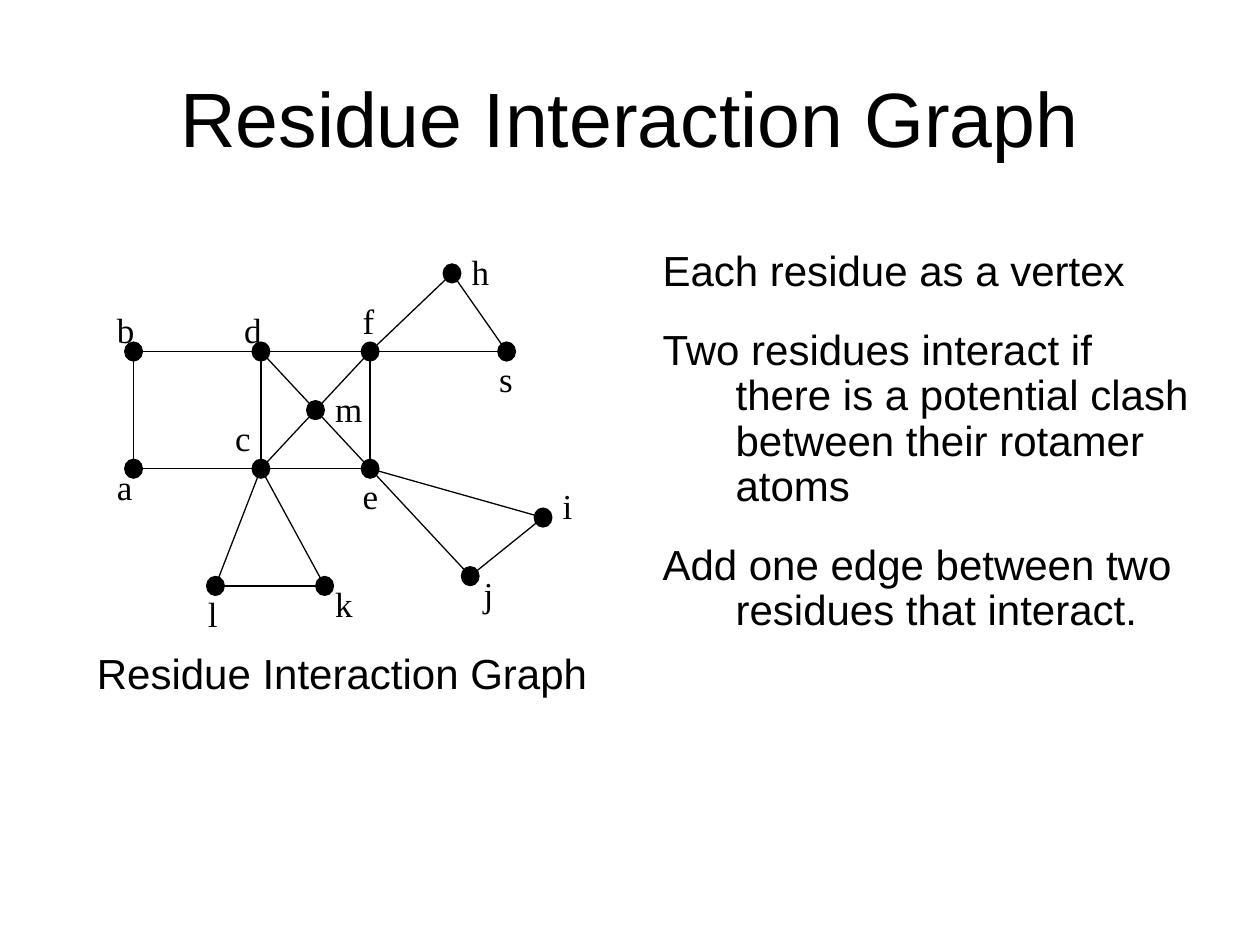
from dataclasses import dataclass

import pptx
import pptx.dml.color
import pptx.enum.shapes
import pptx.enum.text
import pptx.oxml
import pptx.oxml.ns
import pptx.util

Inches = pptx.util.Inches
Pt = pptx.util.Pt
PP_ALIGN = pptx.enum.text.PP_ALIGN
ANCHOR = pptx.enum.text.MSO_ANCHOR

COLOURS = {"ink": "000000", "paper": "FFFFFF"}
SANS, SERIF = "Arial", "Times New Roman"
PAGE_WIDTH, PAGE_HEIGHT = 10, 7.5

# The graph lies on a grid: column 0 runs through a and b, row 0 through h.
GRID_LEFT, GRID_TOP = 1.06, 2.17
COLUMN, ROW = 3.25 / 45, 2.48 / 32
DOT_WIDTH, DOT_HEIGHT = 0.14, 0.15
LABEL_HEIGHT = 0.44


@dataclass(frozen=True)
class Vertex:
    name: str
    column: float
    row: float
    label_column: float
    label_row: float
    label_width: float


VERTICES = [
    Vertex("a", 0, 20, -3.2, 19, 0.32),
    Vertex("b", 0, 8, -3.2, 3, 0.34),
    Vertex("c", 14, 20, 9.8, 14, 0.32),
    Vertex("d", 14, 8, 10.8, 3, 0.34),
    Vertex("f", 26, 8, 23.8, 2, 0.29),
    Vertex("e", 26, 20, 23.8, 20, 0.32),
    Vertex("m", 20, 14, 20.8, 11, 0.41),
    Vertex("l", 9, 32, 6.8, 32, 0.28),
    Vertex("k", 21, 32, 20.8, 31, 0.34),
    Vertex("j", 37, 31, 37.1, 30, 0.28),
    Vertex("i", 45, 25, 45.8, 21, 0.28),
    Vertex("h", 35, 0, 35.8, -3, 0.34),
    Vertex("s", 41, 8, 38.8, 8, 0.31),
]
EDGES = "ab cd ef bd ac dm cm df me mf ce cl ck fh fs ej ei ij lk hs".split()

STATEMENTS = [
    "Each residue as a vertex",
    "Two residues interact if there is a potential clash between their rotamer atoms",
    "Add one edge between two residues that interact.",
]


def colour(name: str) -> pptx.dml.color.RGBColor:
    return pptx.dml.color.RGBColor.from_string(COLOURS[name])


def grid_point(column: float, row: float) -> tuple[float, float]:
    """Position in inches of a grid crossing."""
    return GRID_LEFT + column * COLUMN, GRID_TOP + row * ROW


def add_text(page, left: float, top: float, width: float, height: float,
             lines: list[str], size: float, font: str = SANS, wrap: bool = False):
    box = page.shapes.add_textbox(Inches(left), Inches(top), Inches(width), Inches(height))
    frame = box.text_frame
    frame.word_wrap = wrap
    if not wrap:
        frame.auto_size = pptx.enum.text.MSO_AUTO_SIZE.SHAPE_TO_FIT_TEXT
    frame.text = "\n".join(lines)
    for para in frame.paragraphs:
        para.font.size = Pt(size)
        para.font.name = font
        para.font.color.rgb = colour("ink")
    return frame


def add_title(page) -> None:
    frame = add_text(page, 0.05 * PAGE_WIDTH, 0.04 * PAGE_HEIGHT, 0.9 * PAGE_WIDTH, 1.25,
                     ["Residue Interaction Graph"], 44, wrap=True)
    frame.vertical_anchor = ANCHOR.MIDDLE
    frame.paragraphs[0].alignment = PP_ALIGN.CENTER


def add_statements(page) -> None:
    frame = add_text(page, 5.16, 1.94, 4.42, 3.5, STATEMENTS, 24, wrap=True)
    for index, para in enumerate(frame.paragraphs):
        para.line_spacing = 0.9
        if index:
            para.space_before = Pt(19)
        properties = para._p.get_or_add_pPr()
        properties.set("marL", str(Inches(0.58)))
        properties.set("indent", str(-Inches(0.58)))


def add_dot(page, vertex: Vertex) -> None:
    x, y = grid_point(vertex.column, vertex.row)
    dot = page.shapes.add_shape(
        pptx.enum.shapes.MSO_SHAPE.OVAL,
        Inches(x - DOT_WIDTH / 2), Inches(y - DOT_HEIGHT / 2),
        Inches(DOT_WIDTH), Inches(DOT_HEIGHT))
    dot.shadow.inherit = False
    dot.fill.solid()
    dot.fill.fore_color.rgb = colour("ink")
    dot.line.color.rgb = colour("ink")
    dot.line.width = Pt(0.75)


def add_edge(page, start: Vertex, end: Vertex) -> None:
    ends = grid_point(start.column, start.row) + grid_point(end.column, end.row)
    edge = page.shapes.add_connector(
        pptx.enum.shapes.MSO_CONNECTOR.STRAIGHT, *(Inches(length) for length in ends))
    edge.line.color.rgb = colour("ink")
    edge.line.width = Pt(0.75)
    edge._element.spPr.append(pptx.oxml.parse_xml(
        f"<a:effectLst {pptx.oxml.ns.nsdecls('a')}/>"))


def add_label(page, vertex: Vertex) -> None:
    left, top = grid_point(vertex.label_column, vertex.label_row)
    add_text(page, left, top, vertex.label_width, LABEL_HEIGHT, [vertex.name], 20, SERIF)


def add_graph(page) -> None:
    by_name = {vertex.name: vertex for vertex in VERTICES}
    for vertex in VERTICES:
        add_dot(page, vertex)
    for start, end in EDGES:
        add_edge(page, by_name[start], by_name[end])
    for vertex in VERTICES:
        add_label(page, vertex)


def main() -> None:
    deck = pptx.Presentation()
    deck.slide_width, deck.slide_height = Inches(PAGE_WIDTH), Inches(PAGE_HEIGHT)
    page = deck.slides.add_slide(deck.slide_layouts[6])
    page.background.fill.solid()
    page.background.fill.fore_color.rgb = colour("paper")
    add_title(page)
    add_statements(page)
    add_text(page, 0.67, 5.09, 4.09, 0.5, ["Residue Interaction Graph"], 24)
    add_graph(page)
    deck.save("out.pptx")


if __name__ == "__main__":
    main()
